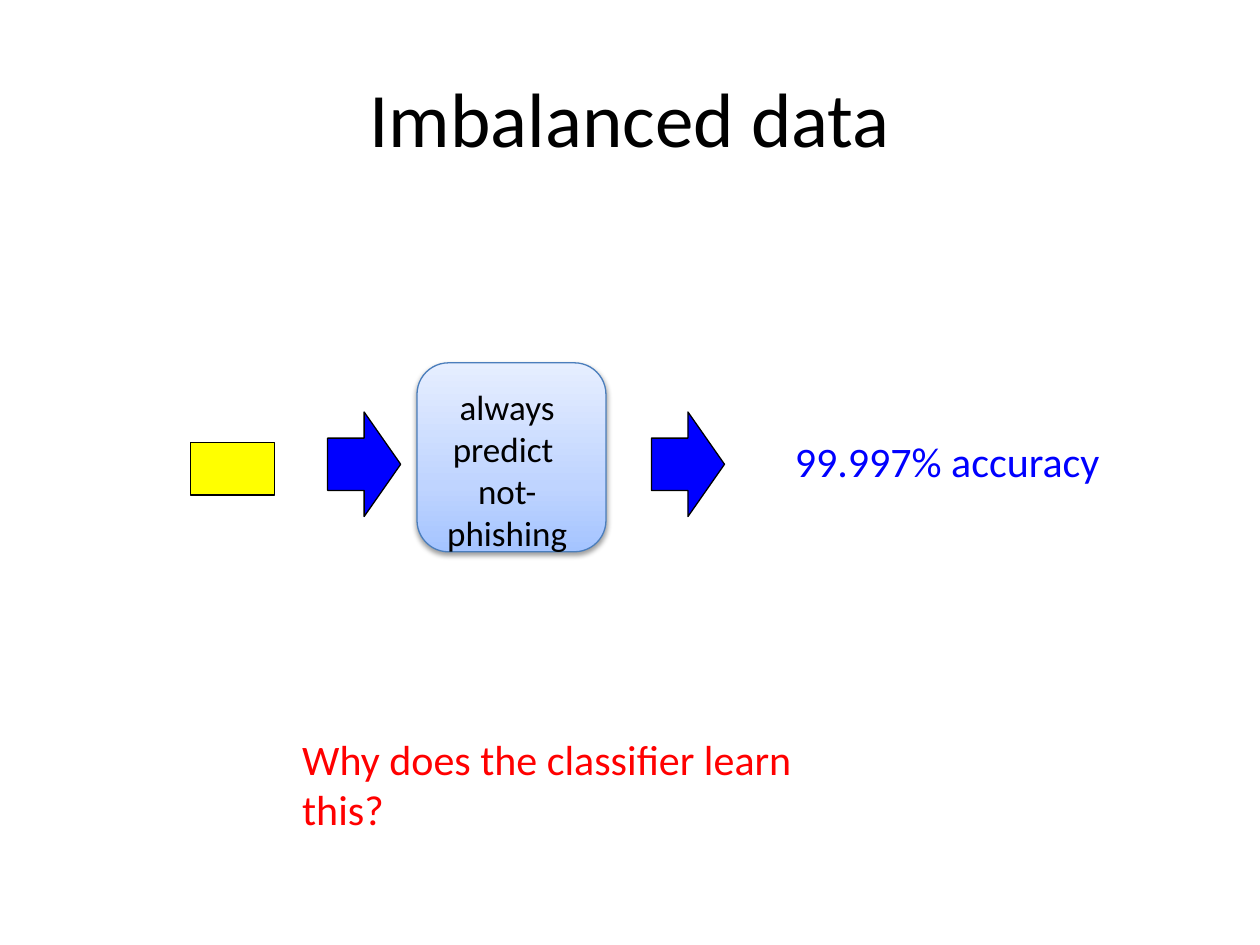
"""Build the slide about a classifier on imbalanced data."""
from lxml import etree
from pptx import Presentation
from pptx import util as u
from pptx.dml.color import RGBColor
from pptx.enum import shapes, text
from pptx.oxml.ns import qn

THEME = {
    "font": "Calibri", "black": "000000", "blue": "0000FF", "red": "FF0000",
    "yellow": "FFFF00", "edge": "4B7EBC", "line": 0.75,
    "gradient": [(0, "A4C4FF"), (35, "BFD4FF"), (100, "E6EEFF")],
    "title": 44, "body": 24, "model": 20,
}
TITLE = ["Imbalanced data"]
MODEL = ["always predict ", "not-phishing"]
RESULT = ["99.997% accuracy"]
QUESTION = ["Why does the classifier learn this?"]

EXAMPLE_AREA = (1.51, 3.51, 0.67, 0.42)
MODEL_AREA = (3.31, 2.88, 1.5, 1.5)
ARROW_LEFTS = (2.6, 5.17)
ARROW_TOP, ARROW_WIDTH, ARROW_HEIGHT = 3.27, 0.58, 0.83


def inches(area):
    return [u.Inches(value) for value in area]


def add_block(parent, kind, area, fill, edge=THEME["black"]):
    block = parent.shapes.add_shape(kind, *inches(area))
    if fill:
        block.fill.solid()
        block.fill.fore_color.rgb = RGBColor.from_string(fill)
    block.line.color.rgb = RGBColor.from_string(edge)
    block.line.width = u.Pt(THEME["line"])
    block.shadow.inherit = False
    return block


def add_color(parent, color):
    return etree.SubElement(parent, qn("a:srgbClr"), val=color)


def style_model(block):
    block.fill.gradient()
    block.fill.gradient_angle = 90
    properties = block._element.spPr
    stops = properties.find(qn("a:gradFill")).find(qn("a:gsLst"))
    for stop in list(stops):
        stops.remove(stop)
    for percent, color in THEME["gradient"]:
        stop = etree.SubElement(stops, qn("a:gs"), pos=str(percent * 1000))
        add_color(stop, color)
    shadow = etree.SubElement(
        properties.find(qn("a:effectLst")), qn("a:outerShdw"),
        blurRad=str(u.Pt(3.1)), dist=str(u.Pt(1.6)), dir="5400000", rotWithShape="0")
    etree.SubElement(add_color(shadow, THEME["black"]), qn("a:alpha"), val="38000")


def add_label(parent, lines, area, size, color, align=text.PP_ALIGN.LEFT,
              anchor=text.MSO_ANCHOR.TOP, fit=text.MSO_AUTO_SIZE.SHAPE_TO_FIT_TEXT):
    box = parent.shapes.add_textbox(*inches(area))
    frame = box.text_frame
    frame.word_wrap = True
    frame.auto_size = fit
    frame.vertical_anchor = anchor
    para = frame.paragraphs[0]
    para.alignment = align
    for index, line in enumerate(lines):
        if index:
            para.add_line_break()
        span = para.add_run()
        span.text = line
        span.font.name = THEME["font"]
        span.font.size = u.Pt(size)
        span.font.color.rgb = RGBColor.from_string(color)


def main():
    deck = Presentation()
    deck.slide_width, deck.slide_height = inches((10, 7.5))
    page = deck.slides.add_slide(deck.slide_layouts[6])
    kinds = shapes.MSO_SHAPE
    center = text.PP_ALIGN.CENTER

    add_label(page, TITLE, (0.5, 0.3, 9, 1.25), THEME["title"], THEME["black"],
              center, text.MSO_ANCHOR.MIDDLE, text.MSO_AUTO_SIZE.NONE)
    add_block(page, kinds.RECTANGLE, EXAMPLE_AREA, THEME["yellow"])
    for left in ARROW_LEFTS:
        area = (left, ARROW_TOP, ARROW_WIDTH, ARROW_HEIGHT)
        add_block(page, kinds.RIGHT_ARROW, area, THEME["blue"])

    model = page.shapes.add_group_shape()
    style_model(add_block(model, kinds.ROUNDED_RECTANGLE, MODEL_AREA, None, THEME["edge"]))
    add_label(model, MODEL, (3.24, 3.01, 1.57, 1.11), THEME["model"], THEME["black"], center)

    add_label(page, RESULT, (6.21, 3.41, 2.77, 0.5), THEME["body"], THEME["blue"])
    add_label(page, QUESTION, (2.3, 5.77, 4.75, 0.5), THEME["body"], THEME["red"])
    deck.save("out.pptx")


if __name__ == "__main__":
    main()
